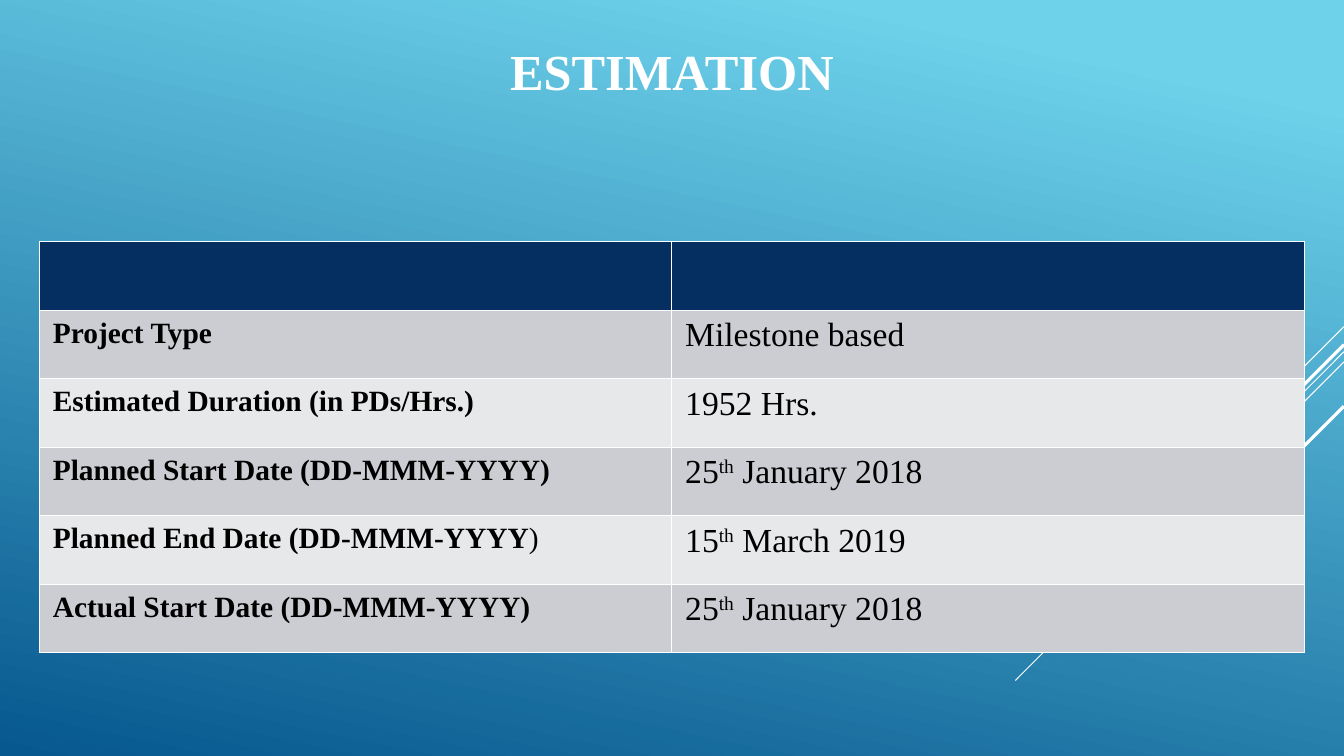
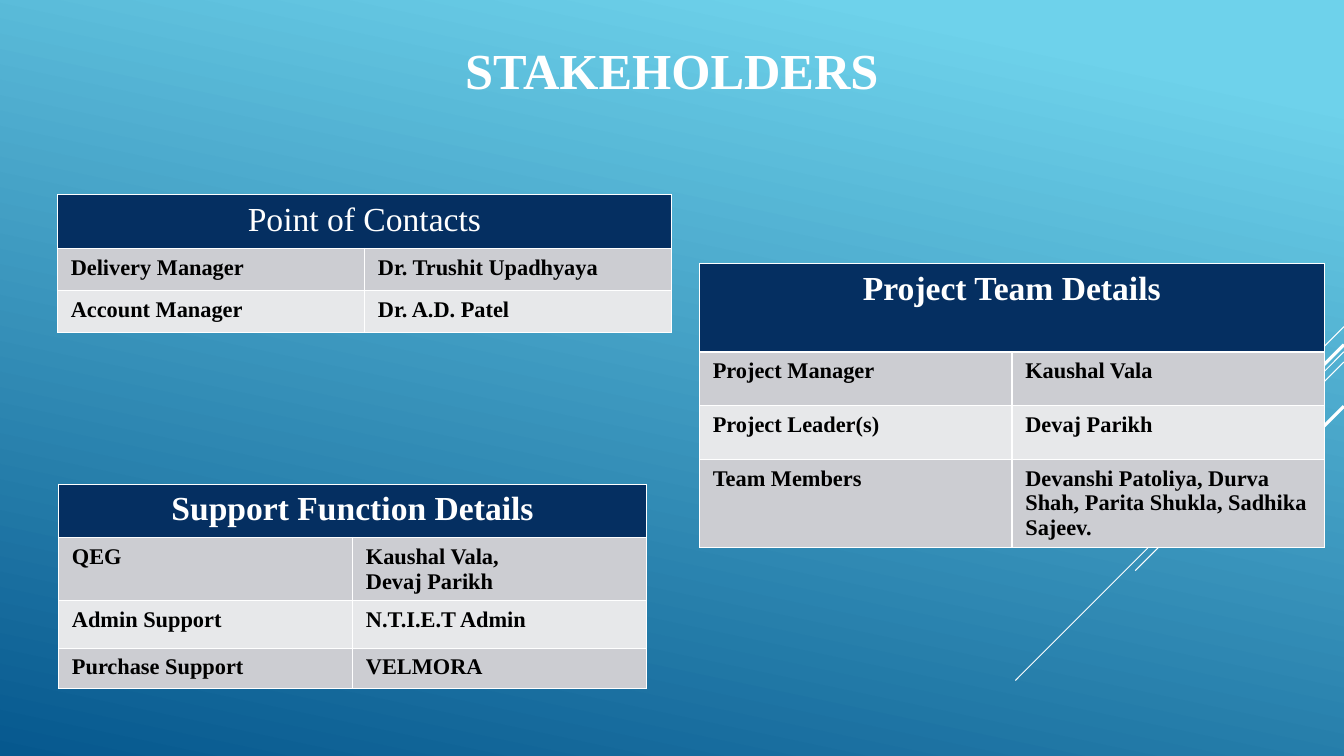
"""Build the estimation and stakeholder slides of a project presentation."""
from dataclasses import dataclass

from lxml.etree import SubElement
from pptx import Presentation
from pptx.dml.color import RGBColor as RGB
from pptx.enum.shapes import MSO_CONNECTOR as CONNECTOR
from pptx.enum.text import MSO_ANCHOR as ANCHOR, PP_ALIGN as ALIGN
from pptx.oxml.ns import qn
from pptx.util import Pt


@dataclass(frozen=True)
class Theme:
    font: str = "Times New Roman"
    sky: str = "6ED2EB"
    deep: str = "06588E"
    header: str = "052F61"
    bands: tuple = ("CCCDD2", "E7E8EA")
    white: str = "FFFFFF"
    black: str = "000000"
    title: int = 36
    heading: int = 24
    value: int = 24
    label: int = 21
    body: int = 16
    border: int = 1


T = Theme()
WIDTH, HEIGHT = 960, 540
INSET_X, INSET_Y = 9.6, 4.8
TITLE_ONLY = 5

STREAKS = [
    (233.28, 72, 0.75),
    (251.28, 234.72, 0.75),
    (258.6, 149.04, 0.75),
    (246.24, 137.52, 2.25),
    (290.16, 100.08, 2.25),
]


def date(day, rest):
    """Return one paragraph holding a date with a raised ordinal."""
    return [[day, ("th", {"raised": True}), f" {rest}"]]


LARGE = ({"size": T.label, "bold": True}, {"size": T.value, "bold": False})
SMALL = ({"size": T.body, "bold": True},) * 2

SLIDES = [
    {"title": "ESTIMATION", "title_height": 100.8, "tables": [
        {"at": (28.2, 172.6, 903.4), "heights": [48.96] * 6, "formats": LARGE,
         "rows": [
             ("Project Type", "Milestone based"),
             ("Estimated Duration (in PDs/Hrs.)", "1952 Hrs."),
             ("Planned Start Date (DD-MMM-YYYY)", date("25", "January 2018")),
             ([["Planned End Date (DD-MMM-YYYY", (")", {"bold": False})]],
              date("15", "March 2019")),
             ("Actual Start Date (DD-MMM-YYYY)", date("25", "January 2018")),
         ]},
    ]},
    {"title": "STAKEHOLDERS", "title_height": 98.6, "tables": [
        {"at": (499.6, 188.2, 446.4), "heights": [63.2, 38.4, 38.4, 48.2],
         "formats": SMALL, "heading": "Project Team Details", "bold": True,
         "rows": [
             ("Project Manager", "Kaushal Vala"),
             ("Project Leader(s)", "Devaj Parikh"),
             ("Team Members",
              "Devanshi Patoliya, Durva Shah, Parita Shukla, Sadhika Sajeev."),
         ]},
        {"at": (41.8, 345.8, 420), "heights": [38.2, 33.8, 33.8, 28.8],
         "formats": SMALL, "heading": "Support Function Details", "bold": True,
         "rows": [
             ("QEG", [["Kaushal Vala,"], ["Devaj Parikh"]]),
             ("Admin Support", "N.T.I.E.T Admin"),
             ("Purchase Support", "VELMORA"),
         ]},
        {"at": (41, 139, 438.8), "heights": [38.4, 30, 30],
         "formats": SMALL, "heading": "Point of Contacts", "bold": False,
         "rows": [
             ("Delivery Manager", "Dr. Trushit Upadhyaya"),
             ("Account Manager", "Dr. A.D. Patel"),
         ]},
    ]},
]


def write(tf, text, align=ALIGN.LEFT, **fmt):
    """Write a string, or paragraphs made of runs, into a text frame."""
    paragraphs = [[text]] if isinstance(text, str) else text
    for i, runs in enumerate(paragraphs):
        p = tf.add_paragraph() if i else tf.paragraphs[0]
        p.alignment = align
        for run in runs:
            words, own = (run, {}) if isinstance(run, str) else run
            look = {"color": T.black, **fmt, **own}
            r = p.add_run()
            r.text = words
            r.font.name = T.font
            r.font.size = Pt(look["size"])
            r.font.bold = look["bold"]
            r.font.color.rgb = RGB.from_string(look["color"])
            if look.get("raised"):
                r._r.get_or_add_rPr().set("baseline", "30000")


def style_cell(cell, fill):
    """Give a cell its insets, white borders and fill."""
    cell.margin_left = cell.margin_right = Pt(INSET_X)
    cell.margin_top = cell.margin_bottom = Pt(INSET_Y)
    tcPr = cell._tc.get_or_add_tcPr()
    for side in "LRTB":
        ln = SubElement(tcPr, qn(f"a:ln{side}"), w=str(Pt(T.border)))
        SubElement(SubElement(ln, qn("a:solidFill")), qn("a:srgbClr"), val=T.white)
    cell.fill.solid()
    cell.fill.fore_color.rgb = RGB.from_string(fill)


def add_table(s, at, heights, formats, rows, heading=None, bold=False):
    """Add a two-column table with a dark header and banded rows."""
    left, top, width = at
    frame = s.shapes.add_table(len(heights), 2, Pt(left), Pt(top),
                               Pt(width), Pt(sum(heights)))
    table = frame.table
    for col in table.columns:
        col.width = Pt(width / 2)
    for i, height in enumerate(heights):
        table.rows[i].height = Pt(height)
        for cell in table.rows[i].cells:
            style_cell(cell, T.bands[(i - 1) % 2] if i else T.header)
    if heading:
        table.cell(0, 0).merge(table.cell(0, 1))
        write(table.cell(0, 0).text_frame, heading, align=ALIGN.CENTER,
              size=T.heading, bold=bold, color=T.white)
    for i, row in enumerate(rows, 1):
        for j, (text, fmt) in enumerate(zip(row, formats)):
            write(table.cell(i, j).text_frame, text, **fmt)


def add_streaks(s):
    """Draw the diagonal lines that run in from the right edge."""
    for y, run, weight in STREAKS:
        line = s.shapes.add_connector(CONNECTOR.STRAIGHT, Pt(WIDTH), Pt(y),
                                      Pt(WIDTH - run), Pt(y + run))
        line.line.color.rgb = RGB.from_string(T.white)
        line.line.width = Pt(weight)
        SubElement(line._element.spPr, qn("a:effectLst"))


def set_background(master):
    """Fill the master background with the blue gradient."""
    fill = master.background.fill
    fill.gradient()
    fill.gradient_angle = 258
    for stop, color, place in zip(fill.gradient_stops, (T.sky, T.deep), (0.1, 1)):
        stop.color.rgb = RGB.from_string(color)
        stop.position = place


def add_title(s, text, height):
    """Place and format the title placeholder."""
    sp = s.shapes.title
    sp.left, sp.top, sp.width, sp.height = Pt(0), Pt(0), Pt(WIDTH), Pt(height)
    sp.text_frame.vertical_anchor = ANCHOR.MIDDLE
    write(sp.text_frame, text, align=ALIGN.CENTER, size=T.title, bold=True,
          color=T.white)


def main():
    """Build and save the presentation."""
    prs = Presentation()
    prs.slide_width, prs.slide_height = Pt(WIDTH), Pt(HEIGHT)
    set_background(prs.slide_master)
    for content in SLIDES:
        s = prs.slides.add_slide(prs.slide_layouts[TITLE_ONLY])
        add_streaks(s)
        add_title(s, content["title"], content["title_height"])
        for table in content["tables"]:
            add_table(s, **table)
    prs.save("out.pptx")


if __name__ == "__main__":
    main()
